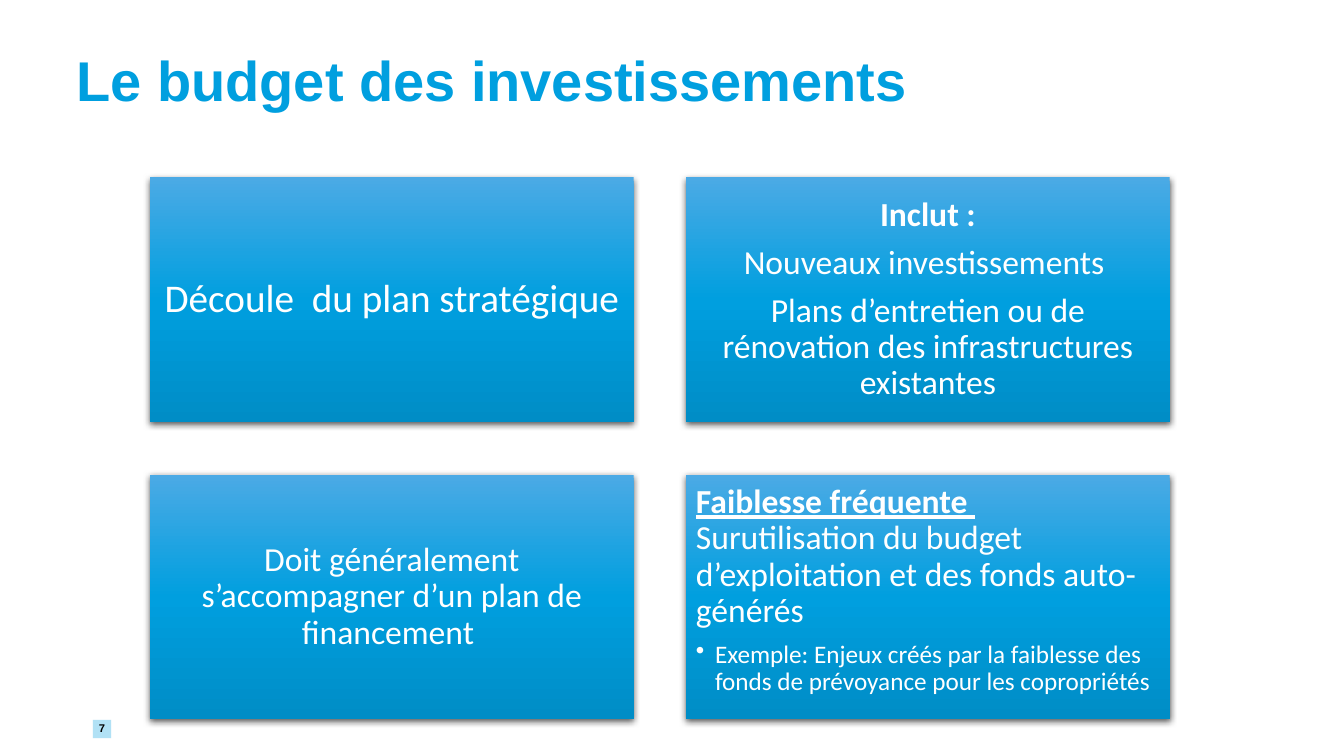
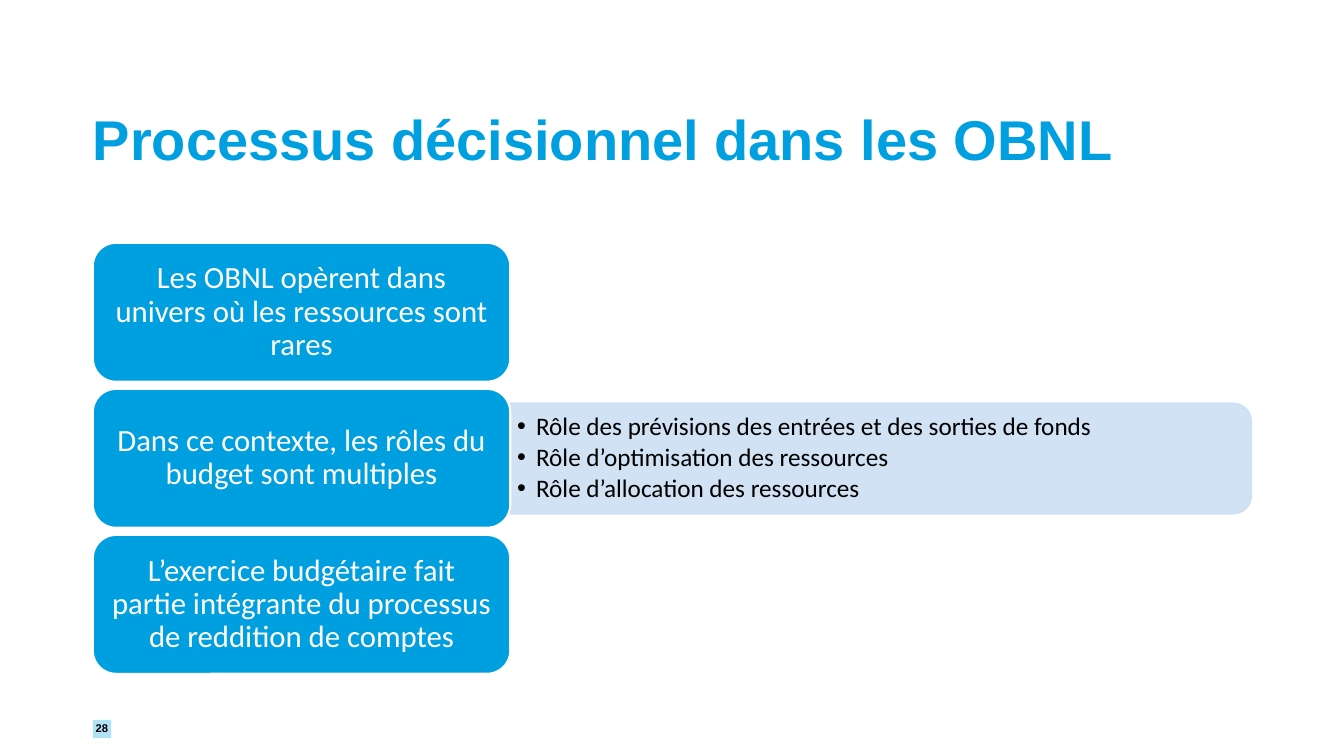
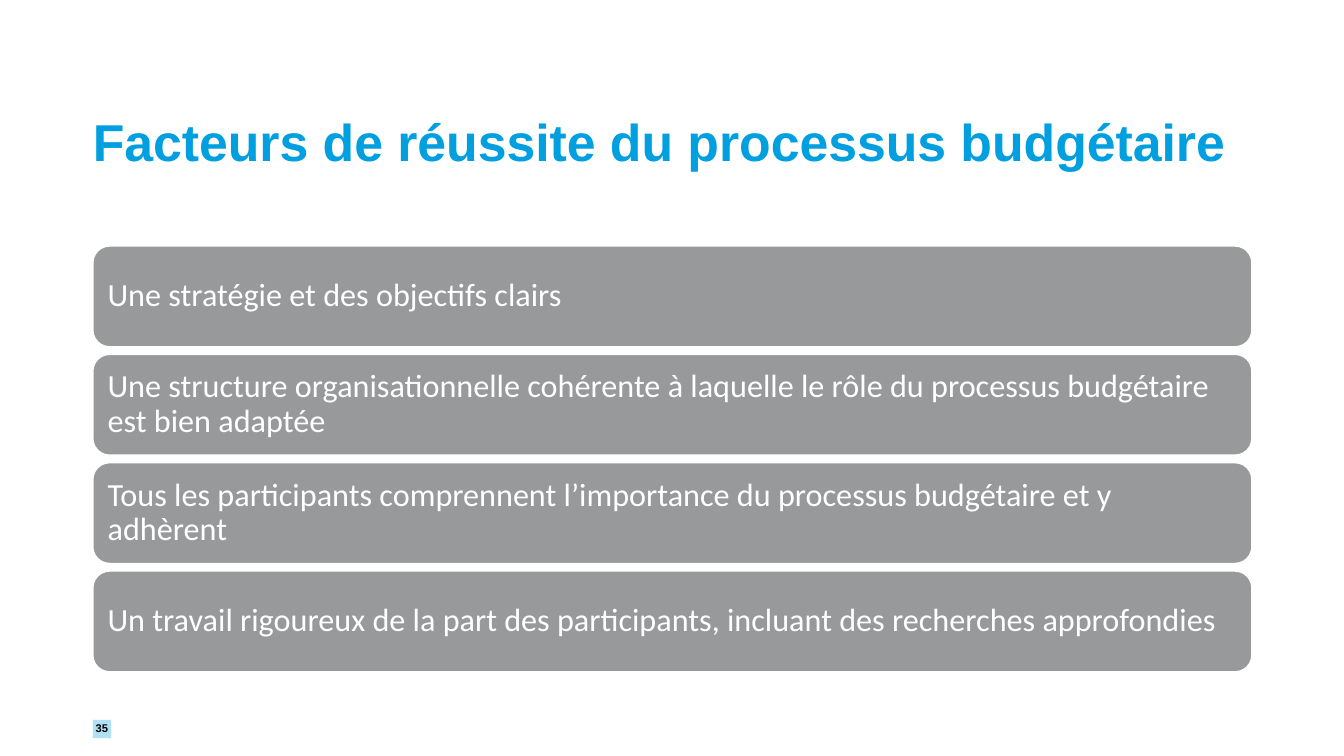
from dataclasses import dataclass
from typing import Optional

from lxml import etree
from pptx import Presentation
from pptx.dml.color import RGBColor
from pptx.enum import shapes, text
from pptx.oxml import ns, parse_xml
from pptx.util import Cm, Pt

BLUE = RGBColor(0x00, 0x9F, 0xDF)
LIGHT = RGBColor(0x4B, 0xAA, 0xE5)
DARK = RGBColor(0x00, 0x8D, 0xC6)
SKY = RGBColor(0x3C, 0xB5, 0xE6)
PALE = RGBColor(0xCC, 0xDF, 0xF3)
GREY = RGBColor(0x97, 0x99, 0x9B)
WHITE = RGBColor(0xFF, 0xFF, 0xFF)
BLACK = RGBColor(0x00, 0x00, 0x00)

HEAD, BODY = "Arial", "Calibri"
EDGE, SPAN = 2.34, 29.21
CENTER, LEFT = text.PP_ALIGN.CENTER, text.PP_ALIGN.LEFT
MIDDLE, TOP = text.MSO_ANCHOR.MIDDLE, text.MSO_ANCHOR.TOP
RECT = shapes.MSO_SHAPE.RECTANGLE
ROUND = shapes.MSO_SHAPE.ROUNDED_RECTANGLE
TAB = shapes.MSO_SHAPE.ROUND_2_SAME_RECTANGLE


@dataclass(frozen=True)
class Area:
    left: float
    top: float
    width: float
    height: float

    def shift(self, right: float, down: float) -> "Area":
        return Area(self.left + right, self.top + down, self.width, self.height)

    def emu(self) -> tuple:
        return Cm(self.left), Cm(self.top), Cm(self.width), Cm(self.height)


@dataclass(frozen=True)
class Para:
    words: str
    size: float
    color: RGBColor = WHITE
    align: text.PP_ALIGN = CENTER
    bold: bool = False
    lead: str = ""
    bullet: bool = False
    face: str = BODY


@dataclass(frozen=True)
class Tile:
    paras: tuple
    inset: float = 0.25
    anchor: text.MSO_ANCHOR = MIDDLE


def place(shape, area: Area) -> None:
    shape.left, shape.top, shape.width, shape.height = area.emu()


def setup(frame, across: float, down: float, anchor=MIDDLE) -> None:
    frame.word_wrap = True
    frame.auto_size = text.MSO_AUTO_SIZE.NONE
    frame.vertical_anchor = anchor
    frame.margin_left = frame.margin_right = Cm(across)
    frame.margin_top = frame.margin_bottom = Cm(down)


def dot(para) -> None:
    props = para._p.get_or_add_pPr()
    props.set("marL", str(Cm(0.48)))
    props.set("indent", str(-Cm(0.48)))
    etree.SubElement(props, ns.qn("a:buChar")).set("char", "•")


def write(frame, paras: tuple) -> None:
    for index, item in enumerate(paras):
        para = frame.add_paragraph() if index else frame.paragraphs[0]
        if item.bullet:
            dot(para)
        para.alignment = item.align
        para.line_spacing = 0.9
        para.space_before = Pt(0)
        para.space_after = Pt(item.size * (0.15 if item.bullet else 0.35))
        font = para.font
        font.name, font.size, font.bold = item.face, Pt(item.size), item.bold
        font.color.rgb = item.color
        if item.lead:
            lead = para.add_run()
            lead.text = item.lead
            lead.font.bold = lead.font.underline = True
            para.add_line_break()
        para.add_run().text = item.words


def draw(slide, kind, area: Area, fill: Optional[RGBColor] = None,
         edge: Optional[RGBColor] = None, weight: float = 1):
    shape = slide.shapes.add_shape(kind, *area.emu())
    shape.shadow.inherit = False
    if fill is not None:
        shape.fill.solid()
        shape.fill.fore_color.rgb = fill
    if edge is None:
        shape.line.fill.background()
    else:
        shape.line.color.rgb = edge
        shape.line.width = Pt(weight)
    return shape


def fade(shape, share: int) -> None:
    for color in shape._element.spPr.iter(ns.qn("a:srgbClr")):
        etree.SubElement(color, ns.qn("a:alpha")).set("val", str(share * 1000))


def gloss(shape) -> None:
    stops = "".join(
        f'<a:gs pos="{pos}"><a:srgbClr val="{color}"/></a:gs>'
        for pos, color in ((0, LIGHT), (50000, BLUE), (100000, DARK)))
    props = shape._element.spPr
    props.find(ns.qn("a:prstGeom")).addnext(parse_xml(
        f'<a:gradFill {ns.nsdecls("a")} rotWithShape="1"><a:gsLst>{stops}</a:gsLst>'
        '<a:lin ang="5400000" scaled="0"/></a:gradFill>'))
    props.find(ns.qn("a:effectLst")).append(parse_xml(
        f'<a:outerShdw {ns.nsdecls("a")} blurRad="{Pt(4.5)}" dist="{Pt(1.5)}" '
        'dir="5400000" algn="ctr" rotWithShape="0"><a:srgbClr val="000000">'
        '<a:alpha val="63000"/></a:srgbClr></a:outerShdw>'))


def start(deck, layout: int, title: str, number: str, size: float = 40,
          area: Area = Area(EDGE, 2.77, SPAN, 1.57)):
    slide = deck.slides.add_slide(deck.slide_layouts[layout])
    head = slide.shapes.title
    place(head, area)
    setup(head.text_frame, 0, 0)
    write(head.text_frame, (Para(title, size, BLUE, LEFT, True, face=HEAD),))
    para = head.text_frame.paragraphs[0]
    para.line_spacing, para.space_after = Pt(44), Pt(0)
    badge = draw(slide, RECT, Area(EDGE, 18.14, 0.46, 0.46), SKY)
    fade(badge, 40)
    setup(badge.text_frame, 0, 0)
    badge.text_frame.word_wrap = False
    write(badge.text_frame, (Para(number, 8, BLACK, bold=True, face=HEAD),))
    return slide


def invest(deck) -> None:
    slide = start(deck, 5, "Le budget des investissements", "7",
                  area=Area(1.93, 1.27, SPAN, 1.57))
    tiles = (
        Tile((Para("Découle  du plan stratégique", 28),), 0.3),
        Tile((Para("Inclut :", 24, bold=True),
              Para("Nouveaux investissements ", 24),
              Para("Plans d’entretien ou de rénovation des infrastructures existantes", 24))),
        Tile((Para("Doit généralement s’accompagner d’un plan de financement ", 24),)),
        Tile((Para("Surutilisation du budget d’exploitation et des fonds auto-générés",
                   24, align=LEFT, lead="Faiblesse fréquente "),
              Para("Exemple: Enjeux créés par la faiblesse des fonds de prévoyance "
                   "pour les copropriétés", 18, align=LEFT, bullet=True)), anchor=TOP),
    )
    first = Area(3.78, 4.47, 12.19, 6.17)
    for index, tile in enumerate(tiles):
        row, col = divmod(index, 2)
        shape = draw(slide, RECT, first.shift(col * 13.51, row * 7.49))
        gloss(shape)
        setup(shape.text_frame, tile.inset, tile.inset, tile.anchor)
        write(shape.text_frame, tile.paras)


def decide(deck) -> None:
    slide = start(deck, 1, "Processus décisionnel dans les OBNL", "28")
    panel = draw(slide, TAB, Area(20.8, 2.21, 2.79, 18.69), PALE, PALE)
    panel.rotation = 90
    fade(panel, 90)
    roles = slide.placeholders[1]
    place(roles, Area(12.85, 10.29, 18.57, 2.54))
    setup(roles.text_frame, 0.18, 0.1)
    write(roles.text_frame, tuple(
        Para(words, 18, BLACK, LEFT, bullet=True) for words in (
            "Rôle des prévisions des entrées et des sorties de fonds",
            "Rôle d’optimisation des ressources",
            "Rôle d’allocation des ressources")))
    panel._element.addnext(roles._element)
    first = Area(EDGE, 6.12, 10.52, 3.5)
    for row, words in enumerate((
            "Les OBNL opèrent dans univers où les ressources sont rares",
            "Dans ce contexte, les rôles du budget sont multiples",
            "L’exercice budgétaire fait partie intégrante du processus "
            "de reddition de comptes")):
        shape = draw(slide, ROUND, first.shift(0, row * 3.68), BLUE, WHITE, 1.5)
        setup(shape.text_frame, 0.23, 0.12)
        write(shape.text_frame, (Para(words, 22),))


def succeed(deck) -> None:
    slide = start(deck, 5, "Facteurs de réussite du processus budgétaire", "35", 37)
    first = Area(EDGE, 6.2, SPAN, 2.54)
    for row, words in enumerate((
            "Une stratégie et des objectifs clairs",
            "Une structure organisationnelle cohérente à laquelle le rôle du "
            "processus budgétaire est bien adaptée",
            "Tous les participants comprennent l’importance du processus "
            "budgétaire et y adhèrent",
            "Un travail rigoureux de la part des participants, incluant des "
            "recherches approfondies")):
        shape = draw(slide, ROUND, first.shift(0, row * 2.73), GREY, WHITE)
        setup(shape.text_frame, 0.25, 0.25)
        write(shape.text_frame, (Para(words, 23, align=LEFT),))


def main() -> None:
    deck = Presentation()
    deck.slide_width, deck.slide_height = Cm(33.87), Cm(19.05)
    invest(deck)
    decide(deck)
    succeed(deck)
    deck.save("out.pptx")


if __name__ == "__main__":
    main()
